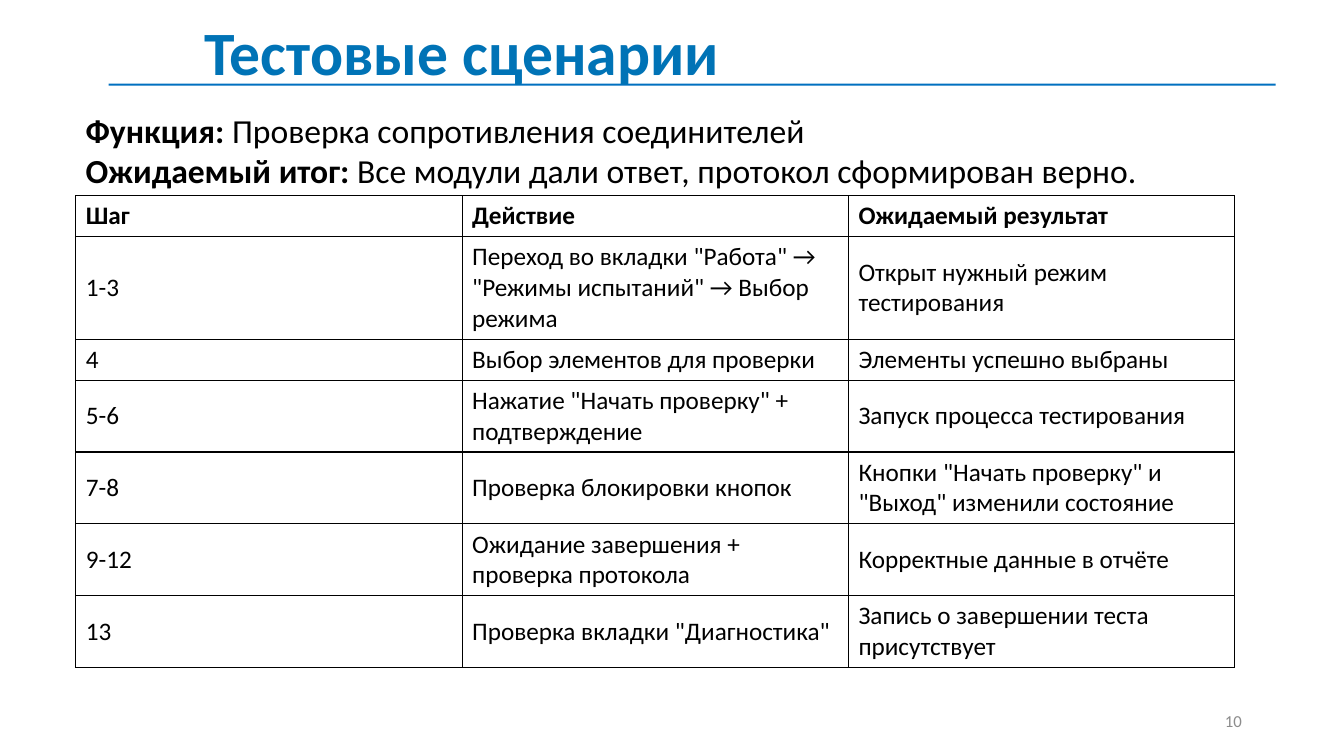
from dataclasses import dataclass

from lxml import etree
from pptx import Presentation
from pptx.dml.color import RGBColor
from pptx.enum.shapes import MSO_SHAPE
from pptx.enum.text import MSO_ANCHOR, PP_ALIGN
from pptx.oxml.ns import qn
from pptx.util import Cm, Pt

RECT = MSO_SHAPE.RECTANGLE
MIDDLE, BOTTOM = MSO_ANCHOR.MIDDLE, MSO_ANCHOR.BOTTOM
LEFT, RIGHT = PP_ALIGN.LEFT, PP_ALIGN.RIGHT


@dataclass(frozen=True)
class Theme:
    font: str = "Calibri"
    title: str = "0073B6"
    rule: str = "0070C0"
    ink: str = "000000"
    muted: str = "8C8C8C"
    head_size: int = 44
    lead_size: int = 24
    cell_size: int = 18
    page_size: int = 12


THEME = Theme()

ROWS = [
    (1, "Шаг", "Действие", "Ожидаемый результат"),
    (3, "1-3", 'Переход во вкладки "Работа" → "Режимы испытаний" → Выбор режима',
     "Открыт нужный режим тестирования"),
    (1, "4", "Выбор элементов для проверки", "Элементы успешно выбраны"),
    (2, "5-6", 'Нажатие "Начать проверку" + подтверждение',
     "Запуск процесса тестирования"),
    (2, "7-8", "Проверка блокировки кнопок",
     'Кнопки "Начать проверку" и "Выход" изменили состояние'),
    (2, "9-12", "Ожидание завершения + проверка протокола",
     "Корректные данные в отчёте"),
    (2, "13", 'Проверка вкладки "Диагностика"',
     "Запись о завершении теста присутствует"),
]

LEAD = [
    [("Функция:", True), (" Проверка сопротивления соединителей", False)],
    [("Ожидаемый итог:", True),
     (" Все модули дали ответ, протокол сформирован верно.", False)],
]


def write(frame, lines, size, color=THEME.ink, align=LEFT, anchor=MIDDLE, space=None):
    frame.word_wrap = True
    frame.vertical_anchor = anchor
    for i, runs in enumerate(lines):
        para = frame.add_paragraph() if i else frame.paragraphs[0]
        para.alignment = align
        para.line_spacing = space
        for text, bold in runs:
            run = para.add_run()
            run.text = text
            run.font.name = THEME.font
            run.font.size = Pt(size)
            run.font.bold = bold
            run.font.color.rgb = RGBColor.from_string(color)


def border(cell, color, width=1):
    props = cell._tc.get_or_add_tcPr()
    for i, side in enumerate(("a:lnL", "a:lnR", "a:lnT", "a:lnB")):
        line = etree.Element(qn(side), w=str(Pt(width)))
        fill = etree.SubElement(line, qn("a:solidFill"))
        etree.SubElement(fill, qn("a:srgbClr"), val=color)
        props.insert(i, line)


class Deck:
    def __init__(self, theme):
        self.theme = theme
        self.show = Presentation()
        self.show.slide_width = Cm(33.87)
        self.show.slide_height = Cm(19.05)
        self.slide = self.show.slides.add_slide(self.show.slide_layouts[6])

    def bar(self, x, y, w, h):
        shape = self.slide.shapes.add_shape(RECT, Cm(x), Cm(y), Cm(w), Cm(h))
        shape.shadow.inherit = False
        shape.fill.solid()
        shape.fill.fore_color.rgb = RGBColor.from_string(self.theme.rule)
        shape.line.fill.background()

    def text(self, x, y, w, h, lines, size, **style):
        box = self.slide.shapes.add_textbox(Cm(x), Cm(y), Cm(w), Cm(h))
        write(box.text_frame, lines, size, **style)

    def table(self, x, y, w, rows):
        cols = len(rows[0]) - 1
        tall = [0.25 + 0.78 * row[0] for row in rows]
        grid = self.slide.shapes.add_table(
            len(rows), cols, Cm(x), Cm(y), Cm(w), Cm(sum(tall))).table
        grid.horz_banding = False
        for r, (_, *words) in enumerate(rows):
            grid.rows[r].height = Cm(tall[r])
            for c, word in enumerate(words):
                cell = grid.cell(r, c)
                cell.fill.background()
                cell.vertical_anchor = MIDDLE
                write(cell.text_frame, [[(word, r == 0)]], self.theme.cell_size)
                border(cell, self.theme.ink)


def main():
    deck = Deck(THEME)
    deck.bar(2.74, 2.11, 29.41, 0.05)
    deck.text(4.9, 0.23, 23.67, 2.13, [[("Тестовые сценарии", True)]],
              THEME.head_size, color=THEME.title, anchor=BOTTOM, space=0.9)
    deck.text(23.93, 17.65, 7.62, 1.02, [[("10", False)]],
              THEME.page_size, color=THEME.muted, align=RIGHT)
    deck.table(1.91, 4.93, 29.21, ROWS)
    deck.text(1.91, 2.62, 27.41, 2.31, LEAD, THEME.lead_size)
    deck.show.save("out.pptx")


if __name__ == "__main__":
    main()
